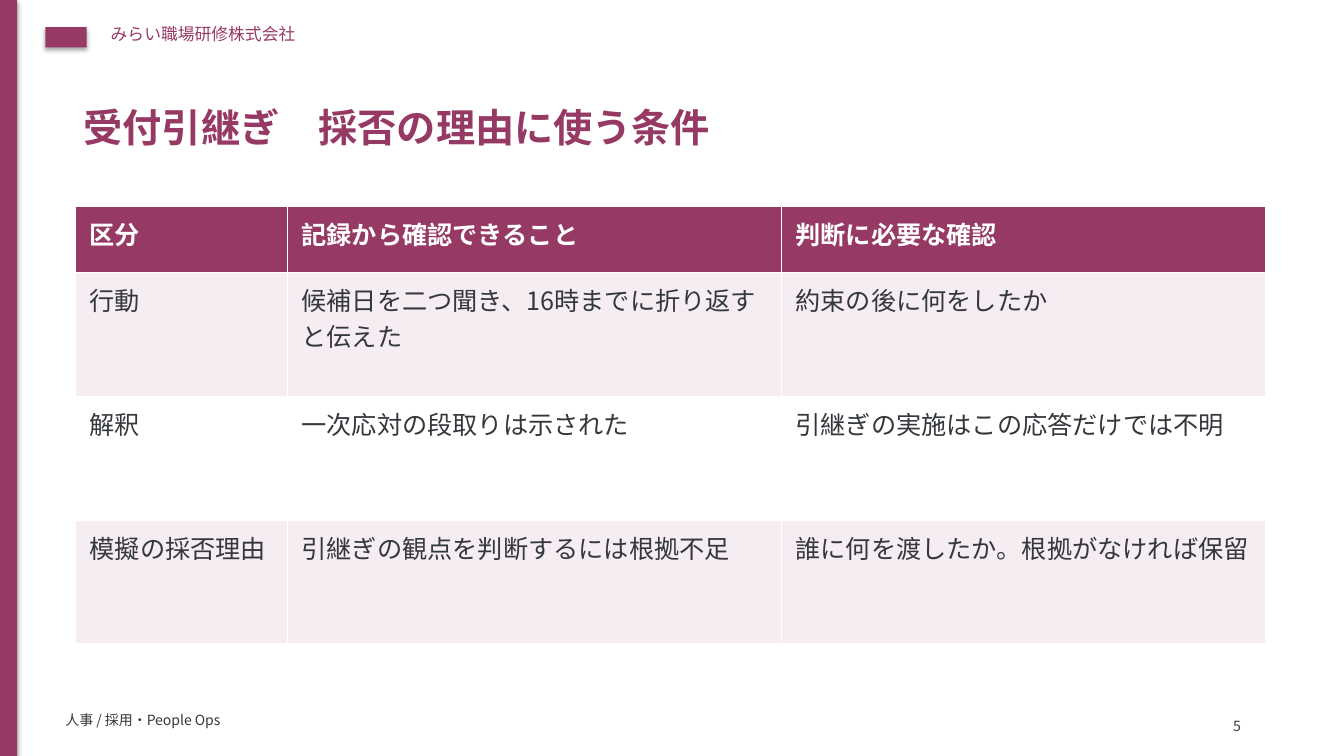
import dataclasses

import pptx
import pptx.dml.color
import pptx.enum.shapes
import pptx.enum.text
import pptx.oxml
import pptx.oxml.ns
import pptx.util
from pptx.util import Inches


@dataclasses.dataclass(frozen=True)
class Theme:
    font: str = "Noto Sans CJK JP"
    plum: str = "963A65"
    ink: str = "34383C"
    white: str = "FFFFFF"
    blush: str = "F5EDF1"
    title_size: int = 28
    table_size: int = 18
    company_size: int = 12
    footer_size: int = 10


THEME = Theme()
TITLE = "受付引継ぎ　採否の理由に使う条件"
COMPANY = "みらい職場研修株式会社"
DEPARTMENT = "人事 / 採用・People Ops"
COLUMN_WIDTHS = (2.1, 4.9, 4.8)
HEADER_HEIGHT = 0.65
CRITERIA = (
    ("区分", "記録から確認できること", "判断に必要な確認"),
    ("行動", "候補日を二つ聞き、16時までに折り返すと伝えた", "約束の後に何をしたか"),
    ("解釈", "一次応対の段取りは示された", "引継ぎの実施はこの応答だけでは不明"),
    ("模擬の採否理由", "引継ぎの観点を判断するには根拠不足", "誰に何を渡したか。根拠がなければ保留"),
)


def rgb(code):
    return pptx.dml.color.RGBColor.from_string(code)


def write(frame, text, *, size, color=THEME.ink, bold=False, insets=(0.1, 0.05, 0.1, 0.05)):
    """Fill a text frame or table cell; insets are left, top, right, bottom in inches."""
    frame.margin_left, frame.margin_top, frame.margin_right, frame.margin_bottom = map(Inches, insets)
    frame.vertical_anchor = pptx.enum.text.MSO_ANCHOR.TOP
    text_frame = getattr(frame, "text_frame", frame)
    paragraph = text_frame.paragraphs[0]
    paragraph.alignment = pptx.enum.text.PP_ALIGN.LEFT
    run = paragraph.add_run()
    run.text = text
    run.font.name = THEME.font
    run.font.size = pptx.util.Pt(size)
    run.font.bold = bold
    run.font.color.rgb = rgb(color)
    east_asian = pptx.oxml.parse_xml(f'<a:ea {pptx.oxml.ns.nsdecls("a")} typeface="{THEME.font}"/>')
    run.font._element.append(east_asian)


def add_label(slide, box, text, **text_format):
    frame = slide.shapes.add_textbox(*map(Inches, box)).text_frame
    frame.word_wrap = True
    write(frame, text, **text_format)


def add_plum_block(slide, box):
    """Add a plum rectangle with a soft shadow below it."""
    block = slide.shapes.add_shape(pptx.enum.shapes.MSO_SHAPE.RECTANGLE, *map(Inches, box))
    block.fill.solid()
    block.fill.fore_color.rgb = rgb(THEME.plum)
    block.line.fill.background()
    block.shadow.inherit = False
    shadow = pptx.oxml.parse_xml(
        f'<a:outerShdw {pptx.oxml.ns.nsdecls("a")} blurRad="40000" dist="23000" dir="5400000" '
        'rotWithShape="0"><a:srgbClr val="000000"><a:alpha val="35000"/></a:srgbClr></a:outerShdw>')
    block._element.spPr.find(pptx.oxml.ns.qn("a:effectLst")).append(shadow)


def add_masthead(slide, box):
    left, top, width, height = box
    add_plum_block(slide, (left, top + 0.08, 0.41, 0.2))
    add_label(slide, (left + 0.55, top, width - 0.55, height), COMPANY,
              size=THEME.company_size, color=THEME.plum)


def add_title(slide, box):
    title = slide.shapes.title
    title.left, title.top, title.width, title.height = map(Inches, box)
    title.text_frame.auto_size = pptx.enum.text.MSO_AUTO_SIZE.NONE
    write(title.text_frame, TITLE, size=THEME.title_size, color=THEME.plum, bold=True,
          insets=(0.13, 0.12, 0.13, 0.08))


def add_criteria_table(slide, box):
    height = box[3]
    table = slide.shapes.add_table(len(CRITERIA), len(COLUMN_WIDTHS), *map(Inches, box)).table
    for column, width in zip(table.columns, COLUMN_WIDTHS):
        column.width = Inches(width)
    body_height = (height - HEADER_HEIGHT) / (len(CRITERIA) - 1)
    for row_index, entries in enumerate(CRITERIA):
        is_header = row_index == 0
        table.rows[row_index].height = Inches(HEADER_HEIGHT if is_header else body_height)
        body_fill = THEME.blush if row_index % 2 else THEME.white
        for column_index, entry in enumerate(entries):
            cell = table.cell(row_index, column_index)
            cell.fill.solid()
            cell.fill.fore_color.rgb = rgb(THEME.plum if is_header else body_fill)
            write(cell, entry, size=THEME.table_size, bold=is_header,
                  color=THEME.white if is_header else THEME.ink,
                  insets=(0.14, 0.09, 0.12, 0.05))


def add_footer(slide, box):
    left, top, width, height = box
    number_width = 0.5
    add_label(slide, (left, top, 10, height), DEPARTMENT, size=THEME.footer_size)
    add_label(slide, (left + width - number_width, top, number_width, height), "5",
              size=THEME.footer_size, insets=(0.13, 0.12, 0.13, 0.08))


def main():
    deck = pptx.Presentation()
    deck.slide_width, deck.slide_height = Inches(13.33), Inches(7.5)
    slide = deck.slides.add_slide(deck.slide_layouts[5])
    add_plum_block(slide, (0, 0, 0.17, 7.5))
    add_masthead(slide, (0.45, 0.19, 8.55, 0.4))
    add_title(slide, (0.7, 0.9, 11.8, 0.85))
    add_criteria_table(slide, (0.75, 2.05, 11.8, 4.34))
    add_footer(slide, (0.55, 7.01, 12.05, 0.3))
    deck.save("out.pptx")


if __name__ == "__main__":
    main()
